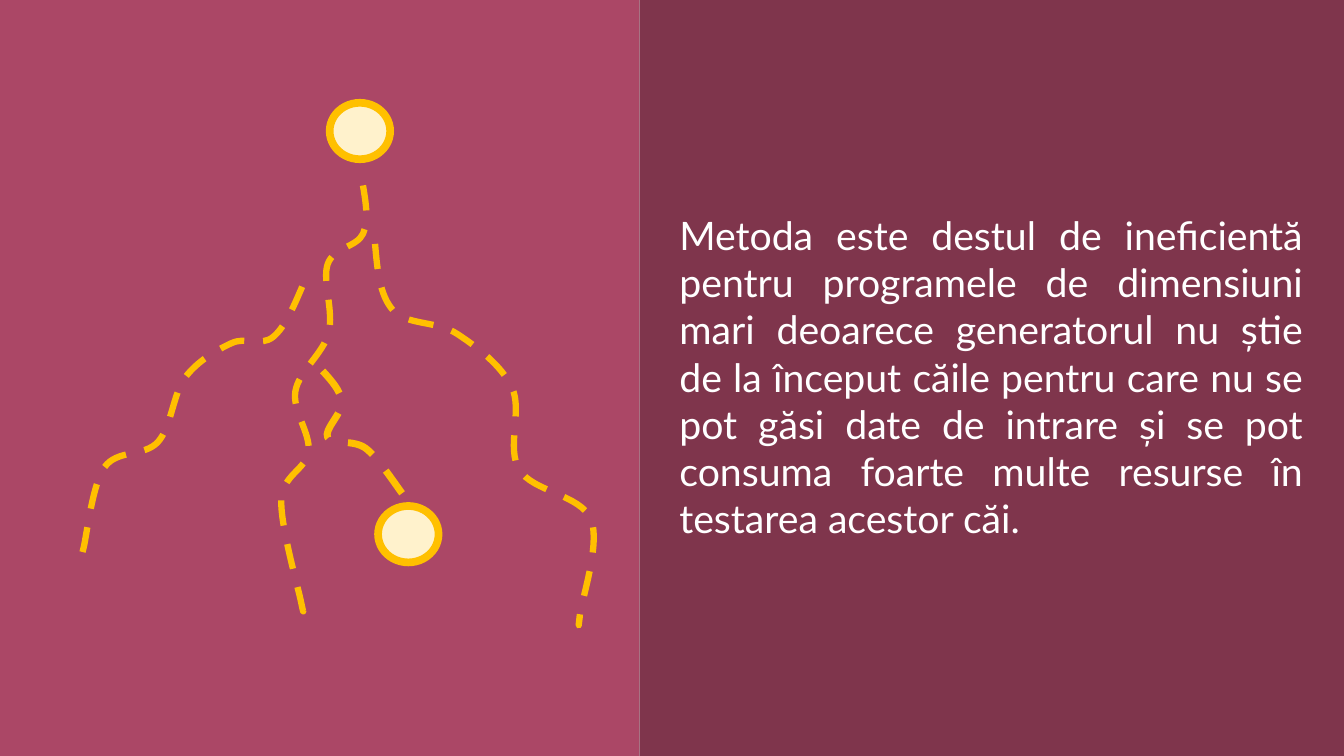
from math import cos, radians, sin

from lxml.etree import SubElement
from pptx import Presentation
from pptx.dml.color import RGBColor
from pptx.enum.dml import MSO_LINE
from pptx.enum.shapes import MSO_SHAPE as Preset
from pptx.enum.text import MSO_AUTO_SIZE as AutoSize, PP_ALIGN as Align
from pptx.oxml.ns import qn
from pptx.util import Inches, Pt

WIDTH, HEIGHT = 13.33, 7.5
SPLIT = 6.34
NODE_SIZE = (0.6, 0.56)
GOLD, CREAM, WHITE = "FFC000", "FFF2CC", "FFFFFF"
ROSE, WINE = "AB4766", "7F354C"
LEFT_TILT, LEFT_CENTER = 19.1, (1.87, 4.18)

MESSAGE = (
    "Metoda este destul de ineficientă pentru programele de dimensiuni mari "
    "deoarece generatorul nu știe de la început căile pentru care nu se pot "
    "găsi date de intrare și se pot consuma foarte multe resurse în testarea "
    "acestor căi."
)
NODES = [(3.27, 1.02), (3.75, 5.02)]
LEFT_PATH = [(3.01, 2.85), (2.72, 3.35), (2.31, 3.41), (1.85, 3.75),
             (1.58, 4.39), (1.05, 4.64), (0.84, 5.45), (0.84, 5.46)]
RIGHT_PATH = [(3.72, 2.42), (3.9, 3.08), (4.53, 3.31), (5.08, 3.85),
              (5.15, 4.66), (5.86, 5.15), (5.75, 6.11), (5.75, 6.12)]
MIDDLE_PATH = [(3.6, 1.84), (3.6, 2.32), (3.25, 2.62), (3.26, 3.3),
               (2.93, 3.88), (3.06, 4.48), (2.79, 4.96), (2.99, 5.99),
               (3, 5.99), (3, 6)]
FOUND_PATH = [(3.2, 3.68), (3.39, 3.99), (3.25, 4.34), (3.63, 4.45),
              (4, 4.91), (3.99, 4.91)]


def color(value):
    """Turn a hex string into a colour."""
    return RGBColor.from_string(value)


def middle(first, second):
    """Return the point halfway between two points."""
    return tuple((a + b) / 2 for a, b in zip(first, second))


def turn(point, center, degrees):
    """Rotate a point clockwise about a center."""
    x, y = point[0] - center[0], point[1] - center[1]
    c, s = cos(radians(degrees)), sin(radians(degrees))
    return center[0] + x * c - y * s, center[1] + x * s + y * c


def curve_segments(knots):
    """Return two control points and an end for each curve between knots."""
    slopes = [tuple((b - a) / 6 for a, b in zip(before, after))
              for before, after in zip(knots, knots[2:])]
    segments = []
    for index, (start, end) in enumerate(zip(knots, knots[1:])):
        leave = arrive = None
        if index > 0:
            leave = tuple(p + s for p, s in zip(start, slopes[index - 1]))
        if index < len(slopes):
            arrive = tuple(p - s for p, s in zip(end, slopes[index]))
        leave = leave or middle(start, arrive)
        arrive = arrive or middle(leave, end)
        segments.append((leave, arrive, end))
    return segments


def add_panel(slide, left, width, fill):
    """Add a full-height background panel."""
    shape = slide.shapes.add_shape(
        Preset.RECTANGLE, Inches(left), 0, Inches(width), Inches(HEIGHT))
    shape.shadow.inherit = False
    shape.fill.solid()
    shape.fill.fore_color.rgb = color(fill)
    shape.line.fill.background()


def add_node(slide, left, top):
    """Add a gold-ringed node of the search tree."""
    shape = slide.shapes.add_shape(
        Preset.OVAL, Inches(left), Inches(top), *map(Inches, NODE_SIZE))
    shape.shadow.inherit = False
    shape.fill.solid()
    shape.fill.fore_color.rgb = color(CREAM)
    shape.line.color.rgb = color(GOLD)
    shape.line.width = Pt(5.5)


def bend(shape, segments):
    """Replace the straight segments of a freeform by Bezier curves."""
    lines = list(shape.element.iter(qn("a:lnTo")))
    for line, segment in zip(lines, segments):
        outline = line.getparent()
        curve = SubElement(outline, qn("a:cubicBezTo"))
        for x, y in segment:
            SubElement(curve, qn("a:pt"), x=str(Inches(x) - shape.left),
                       y=str(Inches(y) - shape.top))
        outline.replace(line, curve)


def add_dashed_path(group, knots, weight=4.5):
    """Add a dashed gold curve through the knots."""
    points = [(Inches(x), Inches(y)) for x, y in knots]
    builder = group.shapes.build_freeform(*points[0])
    builder.add_line_segments(points[1:], close=False)
    shape = builder.convert_to_shape()
    bend(shape, curve_segments(knots))
    shape.shadow.inherit = False
    shape.fill.background()
    shape.line.color.rgb = color(GOLD)
    shape.line.width = Pt(weight)
    shape.line.dash_style = MSO_LINE.DASH
    return shape


def add_message(slide, left, top, width, height):
    """Add the justified message text."""
    box = slide.shapes.add_textbox(*map(Inches, (left, top, width, height)))
    frame = box.text_frame
    frame.word_wrap = True
    frame.auto_size = AutoSize.SHAPE_TO_FIT_TEXT
    frame.margin_top = Inches(0.51)
    frame.text = MESSAGE
    paragraph = frame.paragraphs[0]
    paragraph.alignment = Align.JUSTIFY
    font = paragraph.runs[0].font
    font.name, font.size = "Lato", Pt(28)
    font.color.rgb = color(WHITE)


def main():
    """Build and save the slide."""
    presentation = Presentation()
    presentation.slide_width = Inches(WIDTH)
    presentation.slide_height = Inches(HEIGHT)
    slide = presentation.slides.add_slide(presentation.slide_layouts[6])
    add_panel(slide, 0, SPLIT, ROSE)
    add_panel(slide, SPLIT, WIDTH - SPLIT, WINE)
    add_message(slide, SPLIT + 0.3, 1.59, 6.38, 3.7)
    for left, top in NODES:
        add_node(slide, left, top)
    group = slide.shapes.add_group_shape()
    upright = [turn(knot, LEFT_CENTER, -LEFT_TILT) for knot in LEFT_PATH]
    add_dashed_path(group, upright).rotation = LEFT_TILT
    add_dashed_path(group, RIGHT_PATH)
    add_dashed_path(group, MIDDLE_PATH)
    add_dashed_path(group, FOUND_PATH, weight=5)
    presentation.save("out.pptx")


if __name__ == "__main__":
    main()
